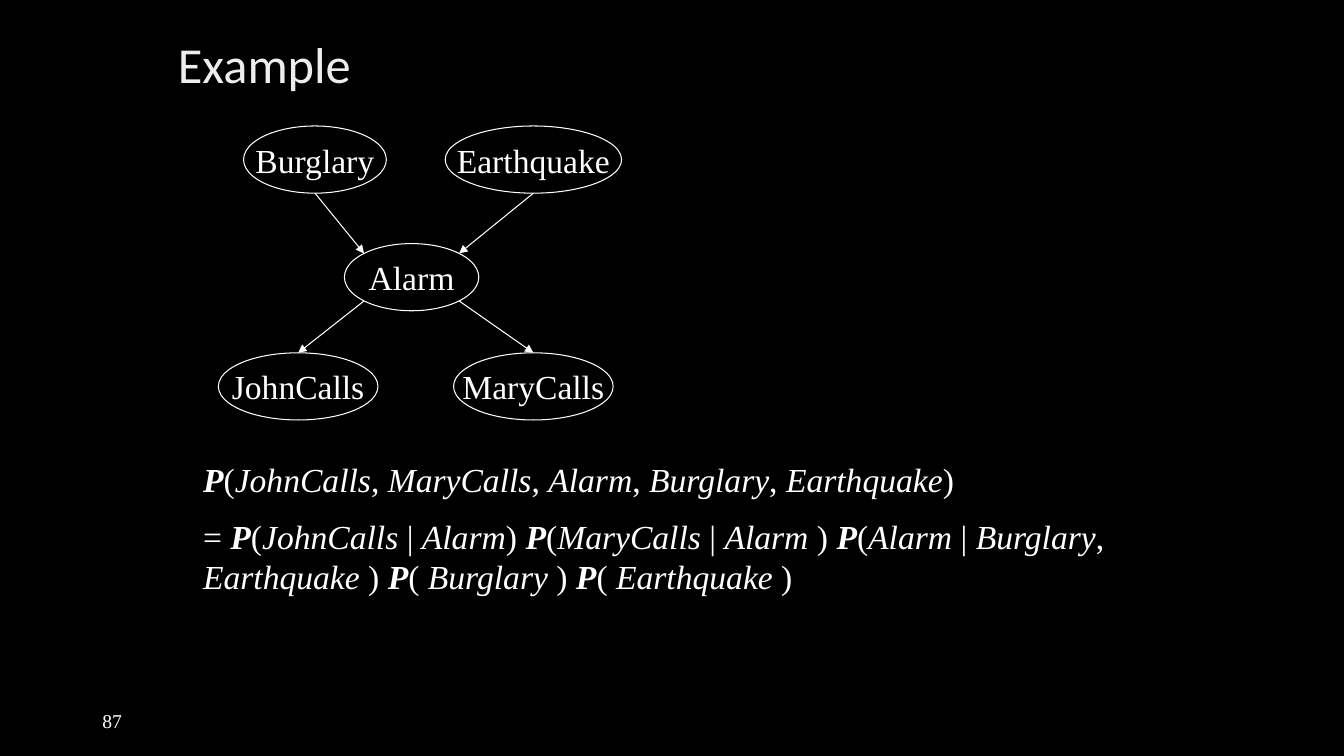
"""Build the burglary alarm Bayesian network slide."""
from dataclasses import dataclass
from math import sqrt

from lxml import etree
from pptx import Presentation
from pptx import util as u
from pptx.dml.color import RGBColor
from pptx.enum import shapes, text
from pptx.oxml.ns import qn

BLACK = RGBColor(0x00, 0x00, 0x00)
WHITE = RGBColor(0xFF, 0xFF, 0xFF)
PALE = RGBColor(0xED, 0xED, 0xED)
SERIF = "Times New Roman"
NODE_HEIGHT = 48
LINE_WIDTH = u.Pt(0.75)


@dataclass(frozen=True)
class Node:
    """An oval of the network, with the points where arrows meet it."""
    name: str
    left: float
    top: float
    width: float

    def point(self, across: float, down: float) -> tuple[float, float]:
        """Return the point at the given fractions of the two radii."""
        return (self.left + self.width / 2 * (1 + across),
                self.top + NODE_HEIGHT / 2 * (1 + down))


@dataclass(frozen=True)
class Label:
    """A single line of text in a box."""
    words: str
    left: float
    top: float
    width: float
    height: float
    font: str
    size: float
    colour: RGBColor


BURGLARY = Node("Burglary", 174, 90, 102)
EARTHQUAKE = Node("Earthquake", 318, 90, 126)
ALARM = Node("Alarm", 246, 174, 96)
JOHN = Node("JohnCalls", 156, 252, 114)
MARY = Node("MaryCalls", 324, 252, 114)
NODES = (BURGLARY, EARTHQUAKE, ALARM, JOHN, MARY)
DIAGONAL = 1 / sqrt(2)
ARROWS = (
    (BURGLARY.point(0, 1), ALARM.point(-DIAGONAL, -DIAGONAL)),
    (EARTHQUAKE.point(0, 1), ALARM.point(DIAGONAL, -DIAGONAL)),
    (ALARM.point(-DIAGONAL, DIAGONAL), JOHN.point(0, -1)),
    (ALARM.point(DIAGONAL, DIAGONAL), MARY.point(0, -1)),
)
LABELS = (
    Label("87", 66, 500.4, 216, 28.8, SERIF, 14, WHITE),
    Label("Example", 120, 12, 720, 66, "Calibri", 36, PALE),
)
FORMULAS = (
    "_P_(_JohnCalls_, _MaryCalls_, _Alarm_, _Burglary_, _Earthquake_)",
    "= _P_(_JohnCalls_ | _Alarm_) _P_(_MaryCalls_ | _Alarm_ ) "
    "_P_(_Alarm_ | _Burglary_, _Earthquake_ ) "
    "_P_( _Burglary_ ) _P_( _Earthquake_ )",
)


def style(font, name: str, size: float, colour: RGBColor) -> None:
    """Set the typeface, size and colour of a font."""
    font.name = name
    font.size = u.Pt(size)
    font.color.rgb = colour


def draw_label(page, label: Label) -> None:
    """Draw a vertically centred line of text."""
    box = page.shapes.add_textbox(
        *map(u.Pt, (label.left, label.top, label.width, label.height)))
    frame = box.text_frame
    frame.word_wrap = True
    frame.vertical_anchor = text.MSO_ANCHOR.MIDDLE
    frame.text = label.words
    style(frame.paragraphs[0].runs[0].font, label.font, label.size, label.colour)


def draw_node(page, node: Node) -> None:
    """Draw an outlined oval with its name."""
    oval = page.shapes.add_shape(
        shapes.MSO_SHAPE.OVAL,
        *map(u.Pt, (node.left, node.top, node.width, NODE_HEIGHT)))
    oval.shadow.inherit = False
    oval.fill.background()
    oval.line.color.rgb = WHITE
    oval.line.width = LINE_WIDTH
    frame = oval.text_frame
    frame.word_wrap = False
    frame.vertical_anchor = text.MSO_ANCHOR.MIDDLE
    frame.text = node.name
    para = frame.paragraphs[0]
    para.alignment = text.PP_ALIGN.CENTER
    style(para.runs[0].font, SERIF, 24, WHITE)


def draw_arrow(page, start: tuple[float, float], end: tuple[float, float]) -> None:
    """Draw a thin line with a triangular head at its end."""
    arrow = page.shapes.add_connector(
        shapes.MSO_CONNECTOR.STRAIGHT, *map(u.Pt, start + end))
    arrow.line.color.rgb = WHITE
    arrow.line.width = LINE_WIDTH
    outline = arrow.line._get_or_add_ln()
    etree.SubElement(outline, qn("a:tailEnd"), type="triangle")
    etree.SubElement(arrow._element.spPr, qn("a:effectLst"))


def draw_formulas(page) -> None:
    """Write the joint distribution, with underscores marking italics."""
    box = page.shapes.add_textbox(*map(u.Pt, (138, 324, 684, 108.72)))
    frame = box.text_frame
    frame.word_wrap = True
    for index, formula in enumerate(FORMULAS):
        para = frame.add_paragraph() if index else frame.paragraphs[0]
        if index:
            para.space_before = u.Pt(12)
        for position, part in enumerate(formula.split("_")):
            if part:
                span = para.add_run()
                span.text = part
                style(span.font, SERIF, 24, WHITE)
                span.font.italic = position % 2 == 1
                span.font.bold = part == "P"


def main() -> None:
    """Assemble and save the deck."""
    deck = Presentation()
    deck.slide_width, deck.slide_height = u.Pt(960), u.Pt(540)
    page = deck.slides.add_slide(deck.slide_layouts[6])
    page.background.fill.solid()
    page.background.fill.fore_color.rgb = BLACK
    for label in LABELS:
        draw_label(page, label)
    for node in NODES:
        draw_node(page, node)
    for start, end in ARROWS:
        draw_arrow(page, start, end)
    draw_formulas(page)
    deck.save("out.pptx")


if __name__ == "__main__":
    main()
